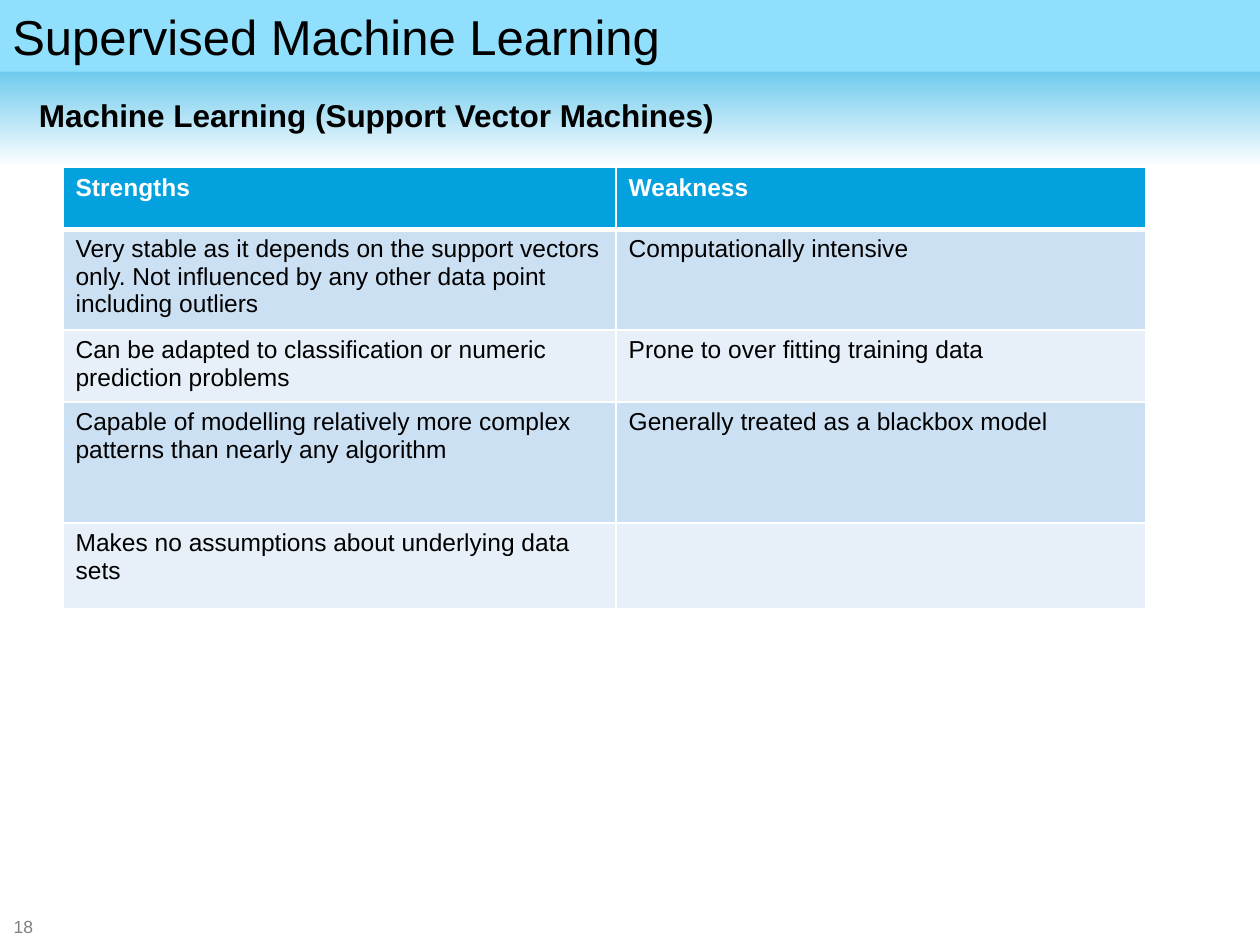
from dataclasses import dataclass

from lxml.etree import SubElement
from pptx import Presentation
from pptx.dml.color import RGBColor
from pptx.enum.shapes import MSO_SHAPE
from pptx.enum.text import MSO_ANCHOR, PP_ALIGN
from pptx.oxml.ns import qn
from pptx.util import Inches, Pt

WIDE, HIGH = Inches(10), Inches(7.5)
COLS, ROWS = 100, 75


@dataclass(frozen=True)
class Theme:
    face: str = "Arial"
    ink: str = "000000"
    white: str = "FFFFFF"
    gray: str = "808080"
    blue: str = "03A2DF"
    sky: str = "8FDFFD"
    bands: tuple = ("CCE0F3", "E7F0F9")
    title: int = 28
    head: int = 18
    body: int = 14
    small: int = 10


THEME = Theme()
TABLE = [
    ("Strengths", "Weakness"),
    ("Very stable as it depends on the support vectors only. "
     "Not influenced by any other data point including outliers",
     "Computationally intensive"),
    ("Can be adapted to classification or numeric prediction problems",
     "Prone to over fitting training data"),
    ("Capable of modelling relatively more complex patterns than nearly any algorithm",
     "Generally treated as a blackbox model"),
    ("Makes no assumptions about underlying data sets", ""),
]
SPANS = (43.9, 42)
DEPTHS = (4.9, 8, 5.7, 9.6, 6.8)


def across(count):
    return round(WIDE * count / COLS)


def down(count):
    return round(HIGH * count / ROWS)


def place(left, top, span, depth):
    return across(left), down(top), across(span), down(depth)


def write(frame, text, size, color=THEME.ink, bold=False):
    para = frame.paragraphs[0]
    para.alignment = PP_ALIGN.LEFT
    para.text = text
    look = {"name": THEME.face, "size": Pt(size), "bold": bold}
    for key, value in look.items():
        setattr(para.font, key, value)
    para.font.color.rgb = RGBColor.from_string(color)


def add_band(slide, area):
    band = slide.shapes.add_shape(MSO_SHAPE.RECTANGLE, *place(*area))
    band.shadow.inherit = False
    band.line.fill.background()
    return band


def add_fade(slide, area, colors):
    fill = add_band(slide, area).fill
    fill.gradient()
    fill.gradient_angle = 270
    for stop, color in zip(fill.gradient_stops, colors):
        stop.color.rgb = RGBColor.from_string(color)


def add_title(slide, area, text):
    band = add_band(slide, area)
    band.fill.solid()
    band.fill.fore_color.rgb = RGBColor.from_string(THEME.sky)
    band.text_frame.vertical_anchor = MSO_ANCHOR.TOP
    write(band.text_frame, text, THEME.title)


def add_label(slide, area, text, anchor=MSO_ANCHOR.TOP, **look):
    frame = slide.shapes.add_textbox(*place(*area)).text_frame
    frame.word_wrap = True
    frame.vertical_anchor = anchor
    write(frame, text, **look)


def add_edges(cell, widths):
    props = cell._tc.get_or_add_tcPr()
    for side, width in widths.items():
        line = SubElement(props, qn(f"a:ln{side}"), w=str(Pt(width)))
        fill = SubElement(line, qn("a:solidFill"))
        SubElement(fill, qn("a:srgbClr"), val=THEME.white)


def add_grid(slide, left, top):
    area = place(left, top, sum(SPANS), sum(DEPTHS))
    table = slide.shapes.add_table(len(TABLE), len(SPANS), *area).table
    for column, span in zip(table.columns, SPANS):
        column.width = across(span)
    for row, depth in zip(table.rows, DEPTHS):
        row.height = down(depth)
    for r, texts in enumerate(TABLE):
        head = r == 0
        color = THEME.blue if head else THEME.bands[(r - 1) % 2]
        edges = {"L": 1, "R": 1, "T": 3 if r == 1 else 1, "B": 3 if head else 1}
        for c, text in enumerate(texts):
            cell = table.cell(r, c)
            add_edges(cell, edges)
            cell.fill.solid()
            cell.fill.fore_color.rgb = RGBColor.from_string(color)
            write(cell.text_frame, text, THEME.body,
                  THEME.white if head else THEME.ink, head)


def main():
    deck = Presentation()
    deck.slide_width, deck.slide_height = WIDE, HIGH
    slide = deck.slides.add_slide(deck.slide_layouts[6])
    add_fade(slide, (0, 0, COLS, 13.3), (THEME.blue, THEME.white))
    add_label(slide, (0.1, 72.7, 3.9, 1.6), "18", MSO_ANCHOR.MIDDLE,
              size=THEME.small, color=THEME.gray)
    add_title(slide, (0, 0, COLS, 5.7), "Supervised Machine Learning")
    add_grid(slide, 5, 13.3)
    add_label(slide, (2.1, 7.1, 92.1, 4.5),
              "Machine Learning (Support Vector Machines)",
              size=THEME.head, bold=True)
    deck.save("out.pptx")


if __name__ == "__main__":
    main()
